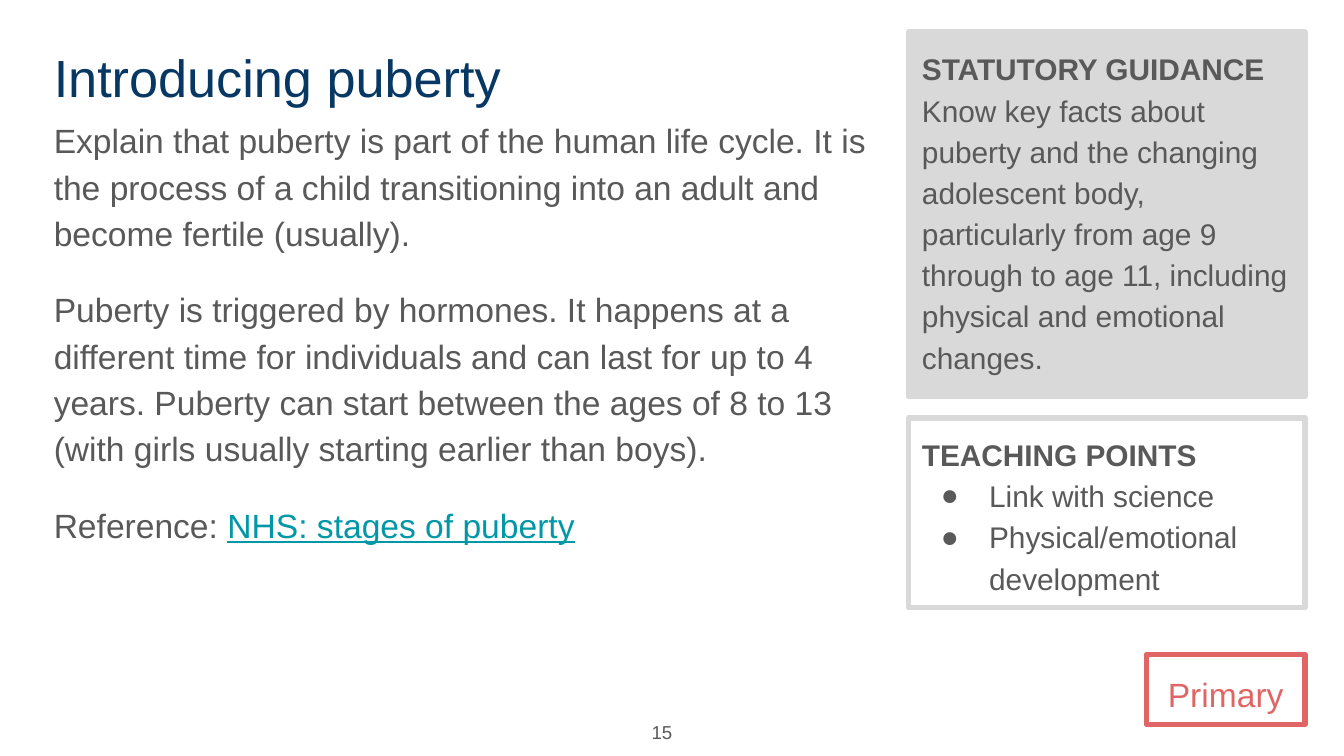
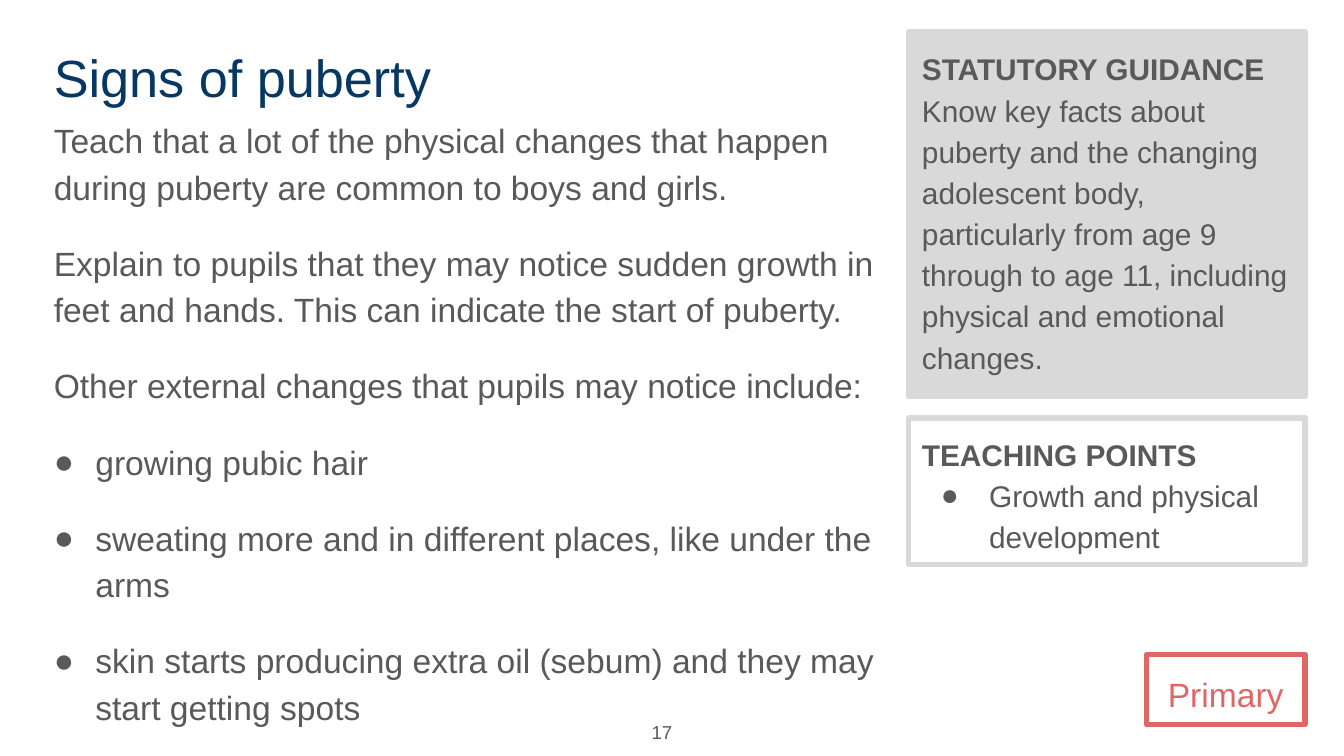
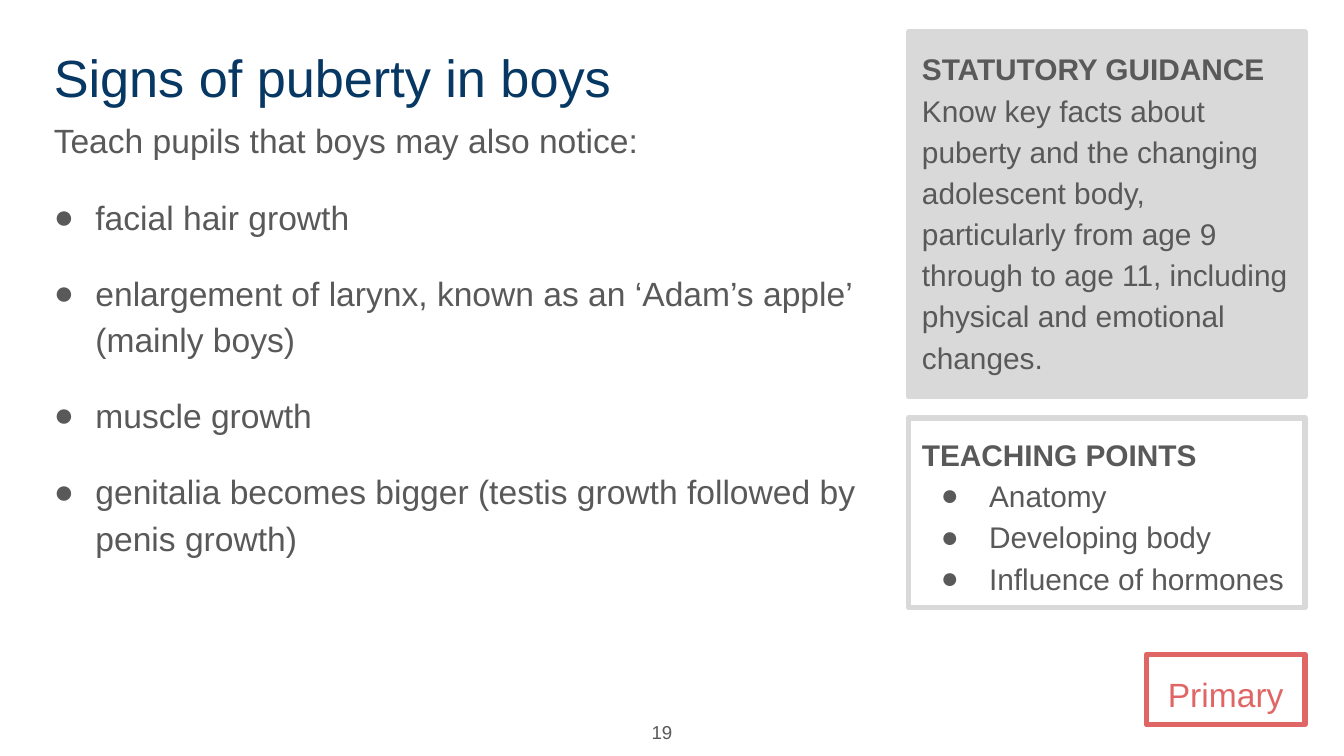
from lxml import etree
from pptx import Presentation
from pptx.dml.color import RGBColor
from pptx.enum.text import MSO_ANCHOR, MSO_AUTO_SIZE, PP_ALIGN
from pptx.oxml.ns import qn
from pptx.util import Inches, Pt

LEFT, CENTER, RIGHT = PP_ALIGN.LEFT, PP_ALIGN.CENTER, PP_ALIGN.RIGHT
TOP, MIDDLE = MSO_ANCHOR.TOP, MSO_ANCHOR.MIDDLE
NO_FIT = MSO_AUTO_SIZE.NONE

FONT = "Arial"
NAVY, GREY, SILVER = "073763", "595959", "D9D9D9"
CORAL, TEAL = "E06666", "0097A7"
COMPARE = 4  # layout with a title and four text areas

TITLE_BOX = (0.3, 0.24, 6.41, 0.63)
BODY_BOX = (0.3, 0.75, 6.32, 4.12)
GUIDE_BOX = (6.76, 0.24, 2.95, 2.71)
POINT_BOX = (6.76, 3.11, 2.95)
BADGE_BOX = (8.53, 4.87, 1.18, 0.52)
PAGE_BOX = (4.71, 5.26, 0.39, 0.37)

# "\v" is a line break within a paragraph
GUIDE = ("STATUTORY GUIDANCE\v"
         "Know key facts about puberty and the changing adolescent body, "
         "particularly from age 9 through to age 11, including physical "
         "and emotional changes.")

LESSONS = [
    {"page": "15", "title": "Introducing puberty",
     "intro": [
         "Explain that puberty is part of the human life cycle. It is the "
         "process of a child transitioning into an adult and become fertile "
         "(usually).",
         "Puberty is triggered by hormones. It happens at a different time "
         "for individuals and can last for up to 4 years. Puberty can start "
         "between the ages of 8 to 13 (with girls usually starting earlier "
         "than boys).",
         "Reference: "],
     "source": "NHS: stages of puberty",
     "points": ["Link with science", "Physical/emotional development"],
     "rows": 4},
    {"page": "17", "title": "Signs of puberty",
     "intro": [
         "Teach that a lot of the physical changes that happen during "
         "puberty are common to boys and girls.",
         "Explain to pupils that they may notice sudden growth in feet and "
         "hands. This can indicate the start of puberty.",
         "Other external changes that pupils may notice include:"],
     "signs": [
         "growing pubic hair",
         "sweating more and in different places, like under the arms",
         "skin starts producing extra oil (sebum) and they may start "
         "getting spots"],
     "points": ["Growth and physical development"],
     "rows": 3},
    {"page": "19", "title": "Signs of puberty in boys",
     "intro": ["Teach pupils that boys may also notice:"],
     "signs": [
         "facial hair growth",
         "enlargement of larynx, known as an ‘Adam’s apple’ (mainly boys)",
         "muscle growth",
         "genitalia becomes bigger (testis growth followed by penis growth)"],
     "points": ["Anatomy", "Developing body", "Influence of hormones"],
     "rows": 4},
]


def rgb(code):
    return RGBColor.from_string(code)


def place(shape, box):
    shape.left, shape.top, shape.width, shape.height = map(Inches, box)


def frame(shape, color, fill=None):
    shape.line.color.rgb = rgb(color)
    shape.line.width = Pt(3)
    if fill:
        shape.fill.solid()
        shape.fill.fore_color.rgb = rgb(fill)


def style(run, size, color, bold=False):
    font = run.font
    font.name, font.size, font.bold = FONT, Pt(size), bold
    font.color.rgb = rgb(color)


def mark(para, left, hang):
    """Set the indent, with a round bullet where the first line hangs."""
    props = para._p.get_or_add_pPr()
    props.set("marL", str(Inches(left)))
    props.set("indent", str(-Inches(hang)))
    if not hang:
        etree.SubElement(props, qn("a:buNone"))
        return
    tint = etree.SubElement(props, qn("a:buClr"))
    etree.SubElement(tint, qn("a:srgbClr"), val=GREY)
    etree.SubElement(props, qn("a:buFont"), typeface=FONT)
    etree.SubElement(props, qn("a:buChar"), char="●")


def write(shape, plain, size, color=GREY, items=(), indent=(0, 0), gap=0,
          align=LEFT, lead=1.15, anchor=TOP):
    """Fill a shape with plain paragraphs, then bulleted items."""
    text = shape.text_frame
    text.auto_size, text.word_wrap = NO_FIT, True
    text.vertical_anchor = anchor
    text.margin_left = text.margin_right = Inches(0.1)
    text.margin_top = text.margin_bottom = Inches(0.1)
    text.text = "\n".join([*plain, *items])
    for i, para in enumerate(text.paragraphs):
        mark(para, *(indent if i >= len(plain) else (0, 0)))
        para.alignment, para.line_spacing = align, lead
        para.space_before = Pt(gap if i else 0)
        para.space_after = Pt(0)
        for run in para.runs:
            style(run, size, color)
        for stop in para._p.findall(qn("a:br")):
            etree.SubElement(stop, qn("a:rPr"), sz=str(size * 100))
    return text.paragraphs


def add_title(shape, box, title):
    place(shape, box)
    write(shape, [title], 28, NAVY, lead=1.0)


def add_body(shape, box, intro, signs=(), source=None):
    place(shape, box)
    paras = write(shape, intro, 18, items=signs, indent=(0.31, 0.31), gap=16)
    if source:
        run = paras[-1].add_run()
        run.text = source
        style(run, 18, TEAL)
        run.font.underline = True


def add_panel(shape, box, lead, items=(), fill=None):
    """Side panel with a bold heading as its first line."""
    place(shape, box)
    frame(shape, SILVER, fill)
    paras = write(shape, [lead], 16, items=items, indent=(0.5, 0.36))
    paras[0].runs[0].font.bold = True


def add_badge(shape, box, label):
    place(shape, box)
    frame(shape, CORAL)
    write(shape, [label], 18, CORAL, align=CENTER)


def add_page(slide, box, page):
    shape = slide.shapes.add_textbox(*map(Inches, box))
    write(shape, [page], 10, align=RIGHT, lead=1.0, anchor=MIDDLE)


def add_lesson(deck, lesson):
    slide = deck.slides.add_slide(deck.slide_layouts[COMPARE])
    title, body, guide, badge, points = slide.placeholders
    add_title(title, TITLE_BOX, lesson["title"])
    add_body(body, BODY_BOX, lesson["intro"], lesson.get("signs", ()),
             lesson.get("source"))
    add_panel(guide, GUIDE_BOX, GUIDE, fill=SILVER)
    add_badge(badge, BADGE_BOX, "Primary")
    tall = 0.13 + 0.32 * lesson["rows"]
    add_panel(points, (*POINT_BOX, tall), "TEACHING POINTS",
              lesson["points"])
    add_page(slide, PAGE_BOX, lesson["page"])


def main():
    deck = Presentation()
    deck.slide_width = Inches(10)
    deck.slide_height = deck.slide_width * 9 // 16
    for lesson in LESSONS:
        add_lesson(deck, lesson)
    deck.save("out.pptx")


if __name__ == "__main__":
    main()
